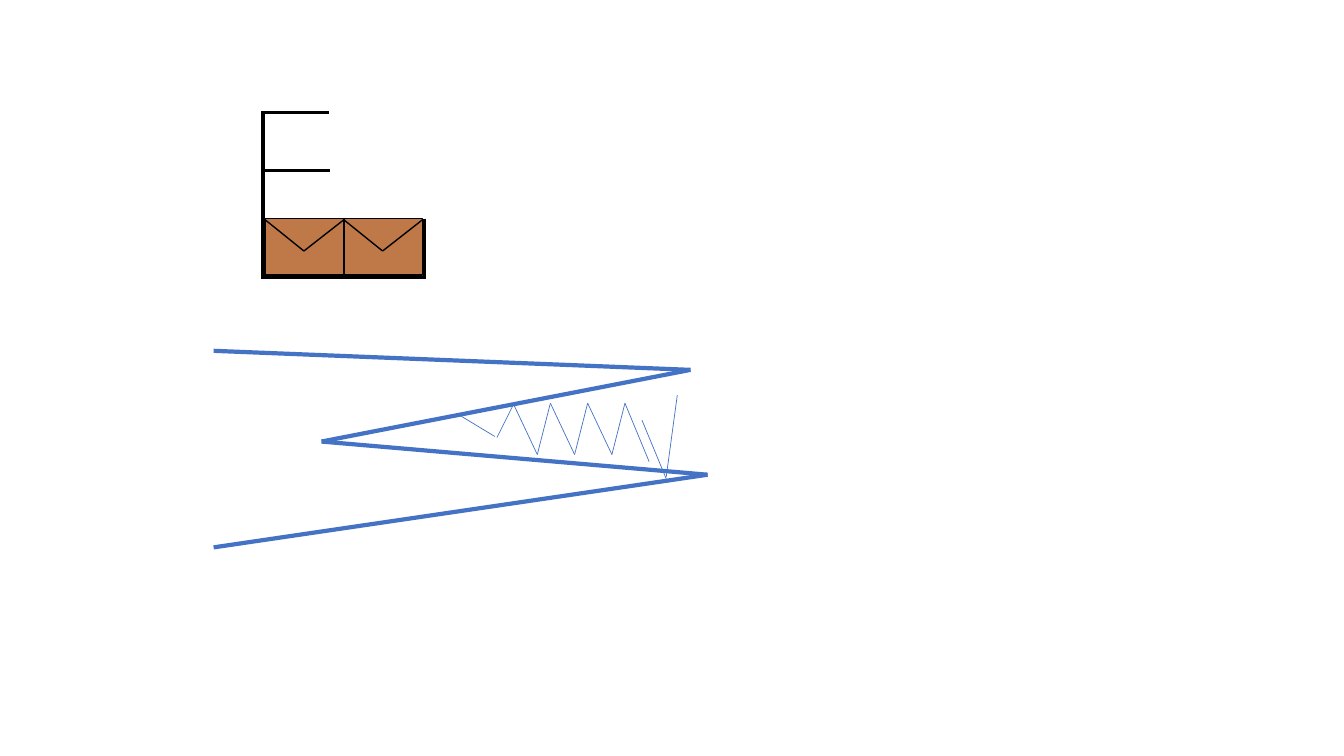
from dataclasses import dataclass
from itertools import pairwise

from lxml.etree import SubElement
from pptx import Presentation
from pptx.dml.color import RGBColor
from pptx.enum.shapes import MSO_CONNECTOR, MSO_SHAPE
from pptx.oxml.ns import qn
from pptx.util import Pt


@dataclass(frozen=True)
class Theme:
    blue: RGBColor = RGBColor(0x44, 0x72, 0xC4)
    black: RGBColor = RGBColor(0, 0, 0)
    brown: RGBColor = RGBColor(0xBF, 0x79, 0x49)
    thick: float = 3
    frame: float = 2.25
    outline: float = 1
    thin: float = 0.5


theme = Theme()
deck = Presentation()
deck.slide_width = Pt(960)
deck.slide_height = Pt(540)
page = deck.slides.add_slide(deck.slide_layouts[6])


def draw_line(start, end, color, width):
    line = page.shapes.add_connector(
        MSO_CONNECTOR.STRAIGHT, Pt(start[0]), Pt(start[1]), Pt(end[0]), Pt(end[1])
    )
    line.line.color.rgb = color
    line.line.width = Pt(width)
    SubElement(line._element.spPr, qn("a:effectLst"))


fold = [(152.6, 250.6), (493.2, 264.2), (229.7, 315.4), (505.4, 339.1), (152.6, 391)]
for start, end in pairwise(fold):
    draw_line(start, end, theme.blue, theme.thick)

wave_left, wave_top, wave_bottom = 366.5, 288, 324.7
wave_step, wave_fall = 26.64, 17.3
for index in range(3):
    peak = wave_left + index * wave_step
    valley = (peak + wave_fall, wave_bottom)
    draw_line((peak, wave_top), valley, theme.blue, theme.thin)
    draw_line((peak + wave_step, wave_top), valley, theme.blue, theme.thin)

loose_strokes = [
    ((446.4, 288), (463.7, 329.8)),
    ((328.3, 296.6), (353.5, 311.8)),
    ((366.5, 289.4), (355, 312.5)),
    ((458.6, 300.2), (475.9, 342)),
    ((483.8, 282.2), (475.9, 340.6)),
]
for start, end in loose_strokes:
    draw_line(start, end, theme.blue, theme.thin)

shelf_edges = [
    ((187.9, 79.9), (187.9, 198)),
    ((186.5, 80.6), (234.7, 80.6)),
    ((188.6, 121.7), (235.4, 121.7)),
    ((186.5, 198), (304.6, 198)),
    ((303.1, 156.2), (303.1, 197.3)),
]
for start, end in shelf_edges:
    draw_line(start, end, theme.black, theme.frame)

crate_left, crate_top, crate_width, crate_height = 189.4, 156.2, 56.2, 40.4
flap_top, flap_tip = 157, 179.3
crate_lefts = [crate_left + index * crate_width for index in range(2)]
for left in crate_lefts:
    crate = page.shapes.add_shape(
        MSO_SHAPE.RECTANGLE, Pt(left), Pt(crate_top), Pt(crate_width), Pt(crate_height)
    )
    crate.shadow.inherit = False
    crate.fill.solid()
    crate.fill.fore_color.rgb = theme.brown
    crate.line.color.rgb = theme.black
    crate.line.width = Pt(theme.outline)

for left in crate_lefts:
    flap = [
        (left, flap_top),
        (left + crate_width / 2 - 0.4, flap_tip),
        (left + crate_width, flap_top),
    ]
    for start, end in pairwise(flap):
        draw_line(start, end, theme.black, theme.outline)

deck.save("out.pptx")
